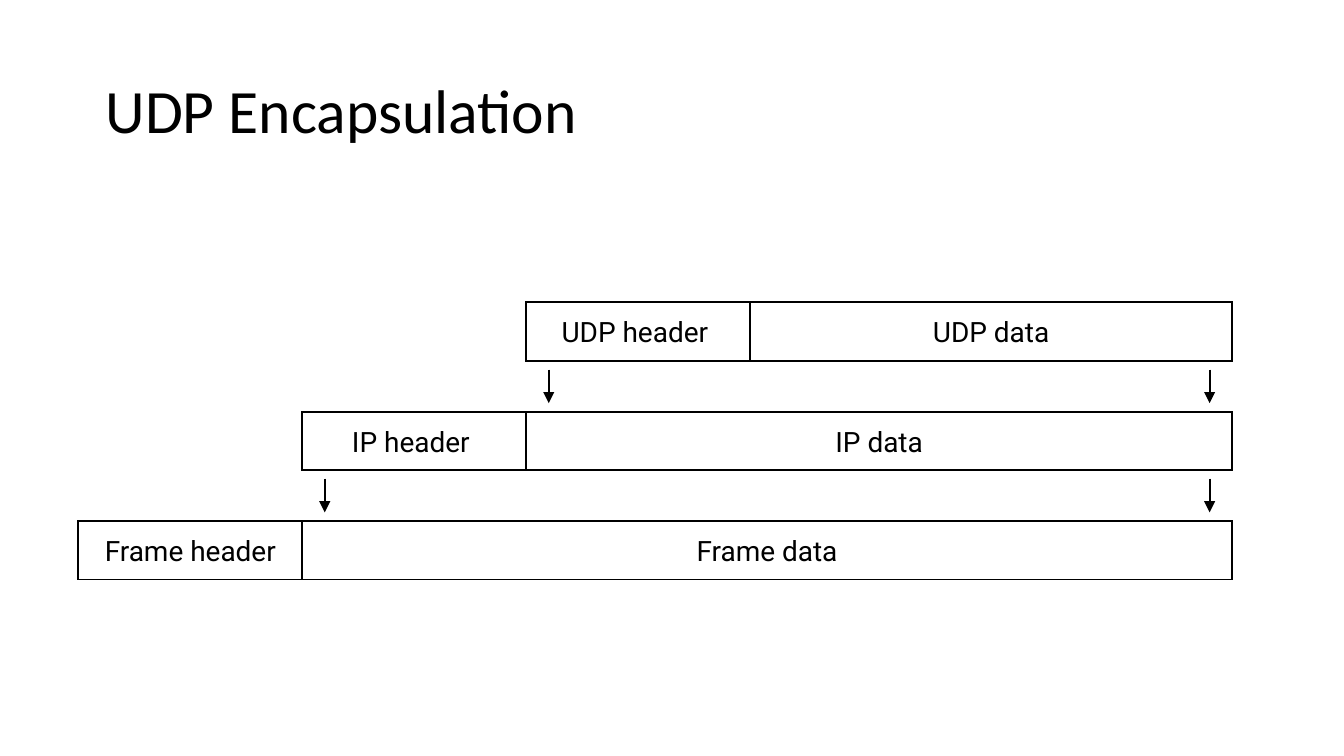
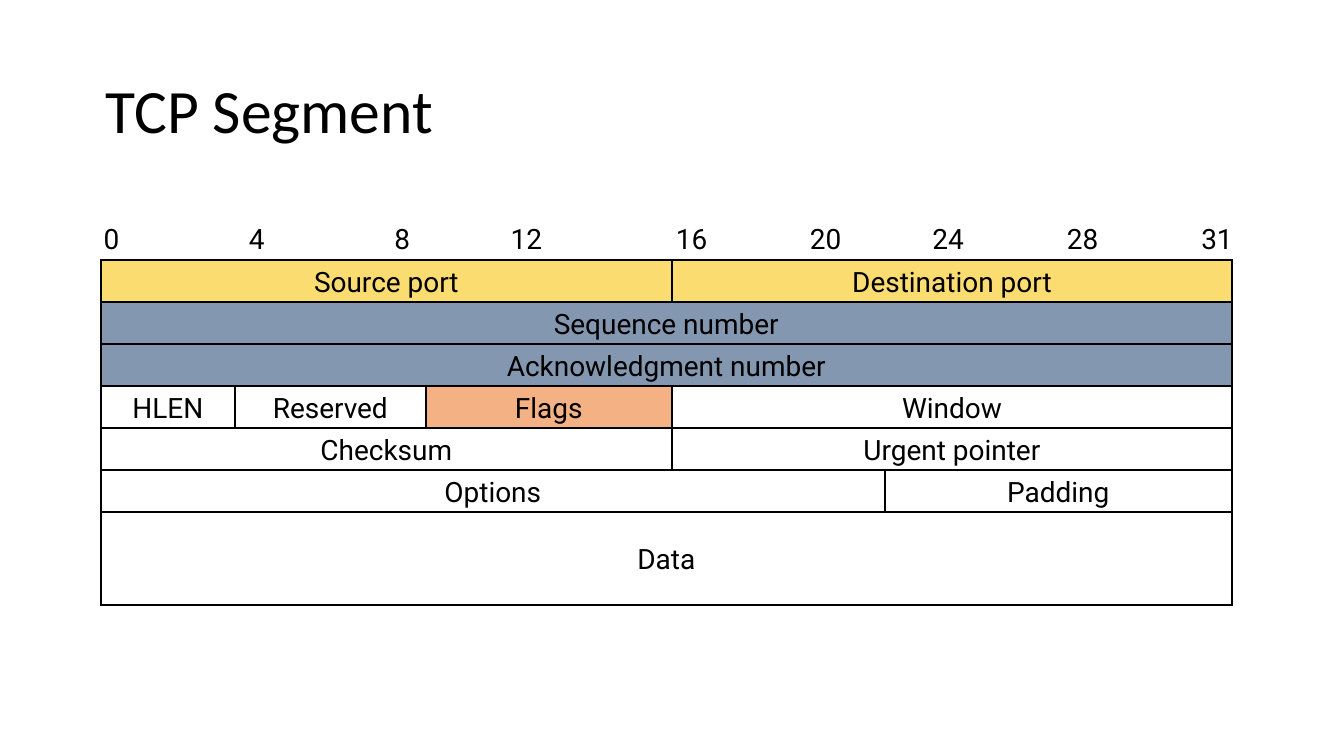
import pptx
import pptx.util
import pptx.dml.color
import pptx.enum.shapes
import pptx.enum.text
import lxml.etree

Pt = pptx.util.Pt
MSO_ANCHOR = pptx.enum.text.MSO_ANCHOR
PP_ALIGN = pptx.enum.text.PP_ALIGN
RECT = pptx.enum.shapes.MSO_SHAPE.RECTANGLE
STRAIGHT = pptx.enum.shapes.MSO_CONNECTOR.STRAIGHT
A = "{http://schemas.openxmlformats.org/drawingml/2006/main}"

BLACK, YELLOW, BLUE, ORANGE = "000000", "FADC70", "8497B0", "F4B183"
LABEL_FRAME = {
    "margin_left": Pt(6.75), "margin_right": Pt(6.75),
    "margin_top": Pt(3.38), "margin_bottom": Pt(3.38),
    "word_wrap": False, "vertical_anchor": MSO_ANCHOR.MIDDLE,
}
LABEL_FONT = {"name": "Roboto", "size": Pt(15)}
TITLE_FRAME = {"word_wrap": True, "vertical_anchor": MSO_ANCHOR.MIDDLE}
TITLE_FONT = {"name": "Calibri", "size": Pt(33)}
RIGHT = 660


def rgb(value):
    return pptx.dml.color.RGBColor.from_string(value)


def put(s, text, x, y, w, h, kind="field", fill=None):
    if kind == "field":
        sp = s.shapes.add_shape(RECT, Pt(x), Pt(y), Pt(w), Pt(h))
        sp.shadow.inherit = False
        sp.line.color.rgb = rgb(BLACK)
        sp.line.width = Pt(1)
        lxml.etree.SubElement(sp.line._get_or_add_ln(), A + "miter", lim="800000")
        if fill:
            sp.fill.solid()
            sp.fill.fore_color.rgb = rgb(fill)
        else:
            sp.fill.background()
    else:
        sp = s.shapes.add_textbox(Pt(x), Pt(y), Pt(w), Pt(h))
    if not text:
        return
    tf = sp.text_frame
    title = kind == "title"
    for name, value in (TITLE_FRAME if title else LABEL_FRAME).items():
        setattr(tf, name, value)
    if kind == "bit":
        tf.auto_size = pptx.enum.text.MSO_AUTO_SIZE.SHAPE_TO_FIT_TEXT
    p = tf.paragraphs[0]
    p.alignment = PP_ALIGN.LEFT if title else PP_ALIGN.CENTER
    if title:
        p.line_spacing = 0.9
    r = p.add_run()
    r.text = text
    for name, value in (TITLE_FONT if title else LABEL_FONT).items():
        setattr(r.font, name, value)
    r.font.color.rgb = rgb(BLACK)


prs = pptx.Presentation()
prs.slide_width, prs.slide_height = Pt(720), Pt(405)
slides = []
for title in ("UDP Encapsulation", "TCP Segment"):
    s = prs.slides.add_slide(prs.slide_layouts[6])
    put(s, title, 49.5, 21.6, 621, 78.3, "title")
    slides.append(s)
udp, tcp = slides

header_w, layer_h, layer_step = 120, 31.5, 58.5
layers = [
    ("UDP header ", "UDP data"),
    ("IP header ", "IP data"),
    ("Frame header", "Frame data"),
]
for i, (header, data) in enumerate(layers):
    x = 282 - i * header_w
    y = 162 + i * layer_step
    put(udp, header, x, y, header_w, layer_h)
    put(udp, data, x + header_w, y, RIGHT - x - header_w, layer_h)
    if i == len(layers) - 1:
        continue
    for arrow_x in (x + 12, RIGHT - 12):
        arrow = udp.shapes.add_connector(
            STRAIGHT, Pt(arrow_x), Pt(y + 36), Pt(arrow_x), Pt(y + 54))
        arrow.line.color.rgb = rgb(BLACK)
        arrow.line.width = Pt(1)
        lxml.etree.SubElement(arrow.line._get_or_add_ln(), A + "tailEnd", type="triangle")
        lxml.etree.SubElement(arrow._element.spPr, A + "effectLst")

left, top, row_h, data_h = 54, 139.5, 22.5, 49.5
bits = {0: 59.7, 4: 137.5, 8: 215.5, 12: 282, 16: 370.5,
        20: 442.3, 24: 508, 28: 580, 31: 652}
for bit, center in bits.items():
    w = 22 if bit < 10 else 31
    put(tcp, str(bit), center - w / 2, 115.5, w, 24.5, "bit")

rows = [
    [("Source port", 360, YELLOW), ("Destination port", RIGHT, YELLOW)],
    [("Sequence number", RIGHT, BLUE)],
    [("Acknowledgment number", RIGHT, BLUE)],
    [("HLEN", 126, None), ("Reserved", 228, None),
     ("Flags", 360, ORANGE), ("Window", RIGHT, None)],
    [("Checksum", 360, None), ("Urgent pointer", RIGHT, None)],
    [("Options", 474, None), ("Padding", RIGHT, None)],
    [("Data", RIGHT, None)],
]
put(tcp, "", left, top, RIGHT - left, 6 * row_h + data_h)
for i, fields in enumerate(rows):
    x = left
    h = data_h if i == len(rows) - 1 else row_h
    for text, end, fill in fields:
        put(tcp, text, x, top + i * row_h, end - x, h, fill=fill)
        x = end

prs.save("out.pptx")
